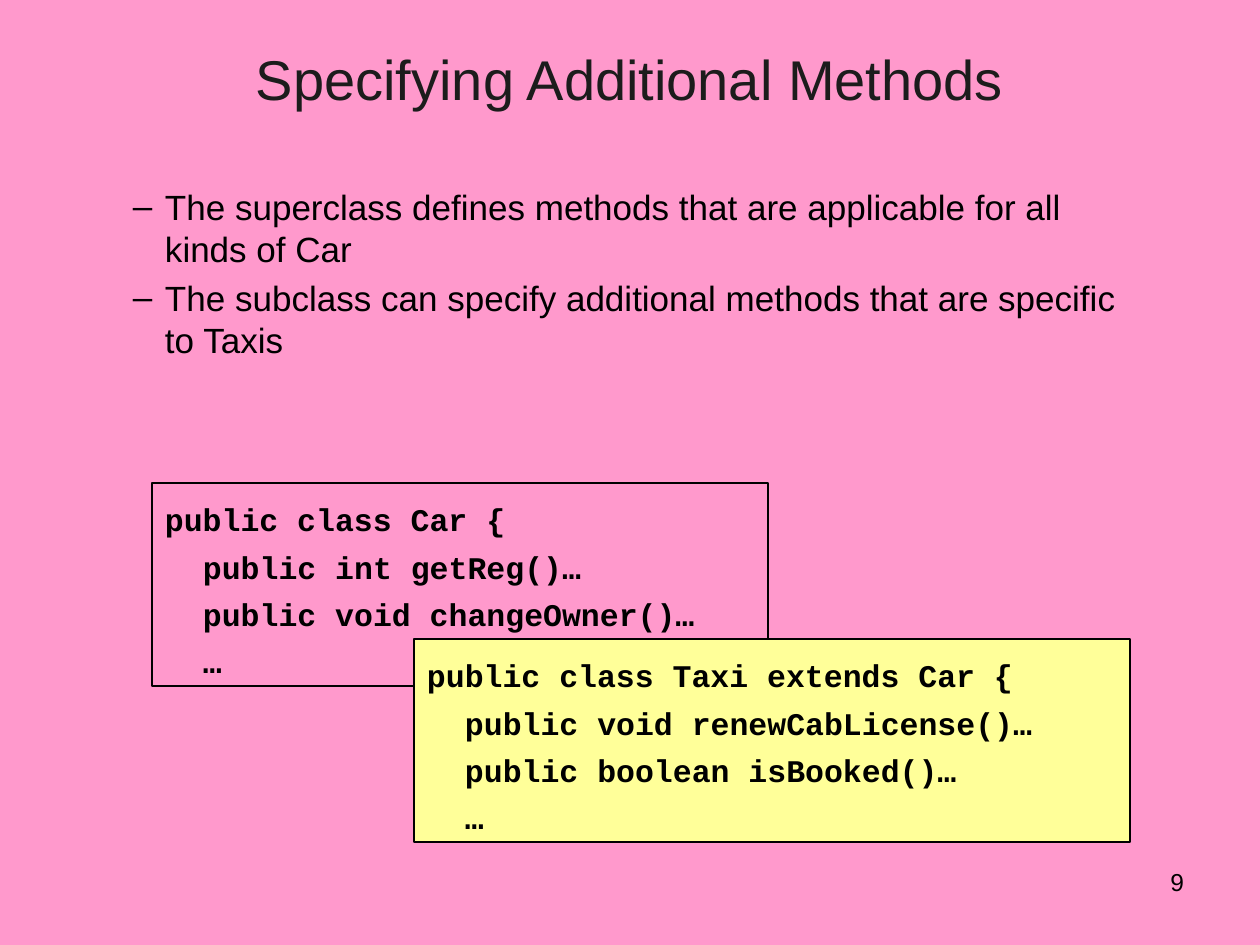
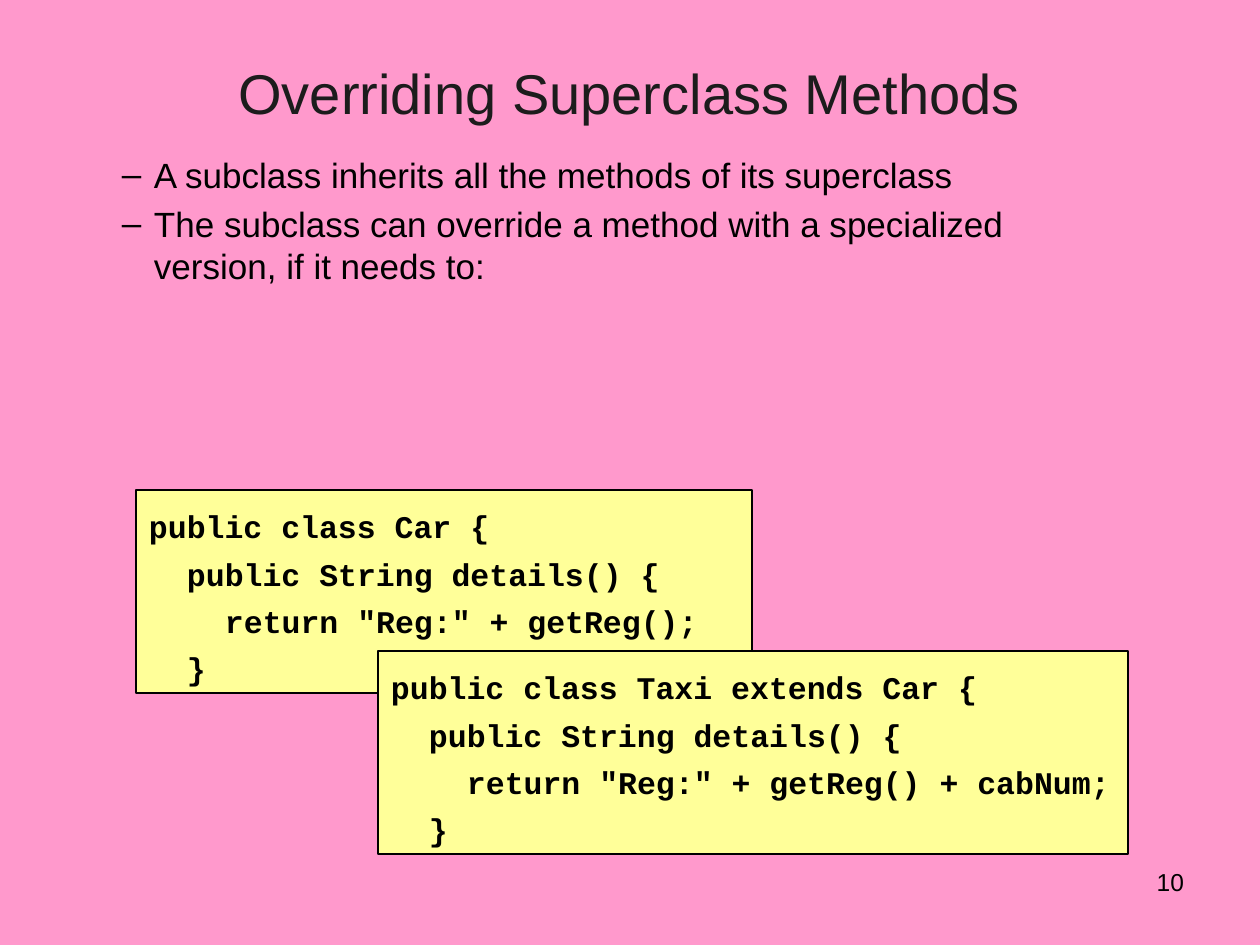
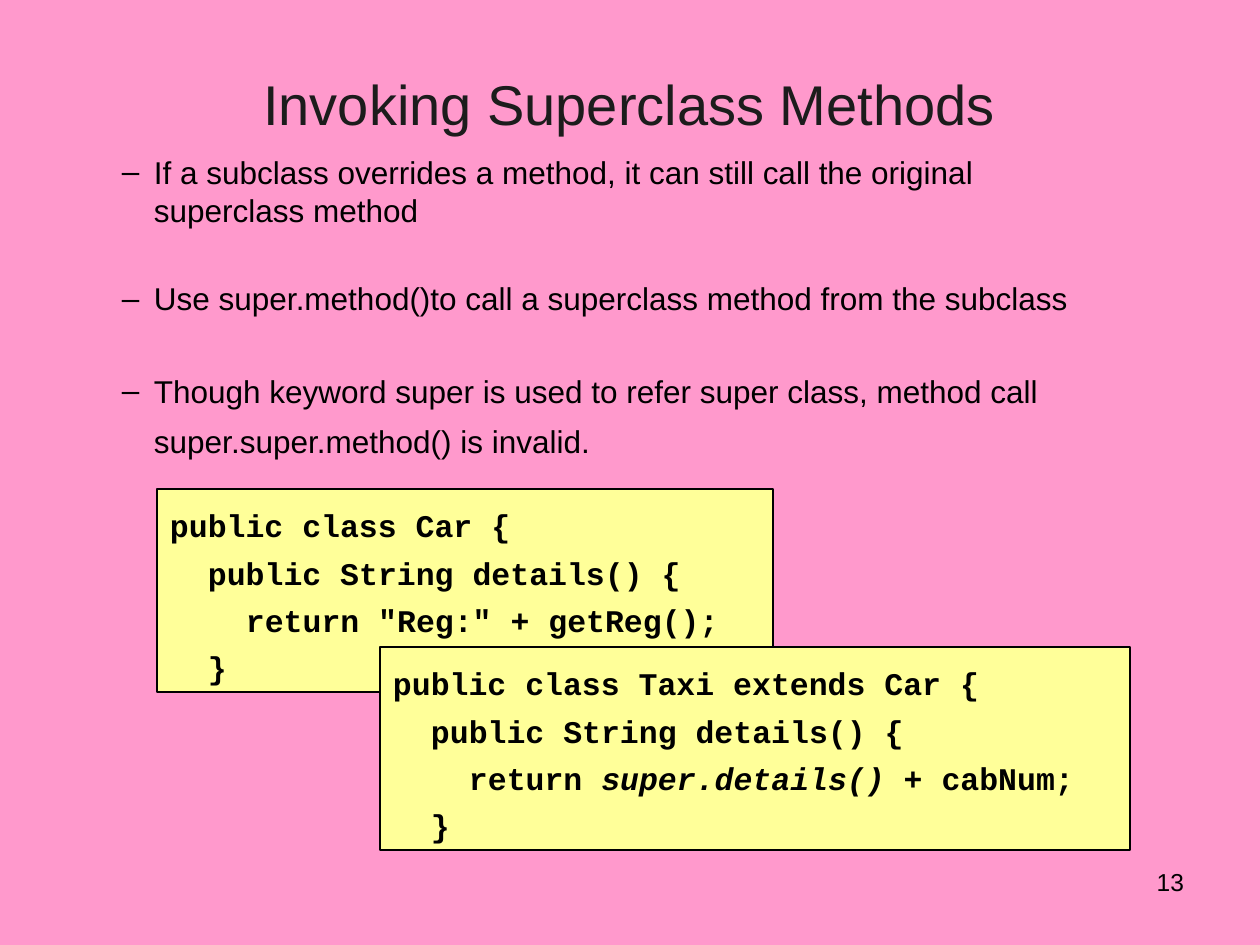
import pptx
import pptx.dml.color
import pptx.enum.shapes
import pptx.enum.text
import pptx.util

PX_PER_INCH = 126
INK, TITLE_INK, PINK, YELLOW = "000000", "1C1C1C", "FF99CC", "FFFF99"
CODE_STEP = 38
BULLET_INDENT, BULLET_HANG = 47, -32
TITLE_FONT = {"name": "Arial", "size": pptx.util.Pt(32)}
NUMBER_FONT = {"name": "Arial", "size": pptx.util.Pt(14)}
CODE_FONT = {"name": "Courier New", "size": pptx.util.Pt(18), "bold": True}
ITALIC = {"italic": True}
LEFT = pptx.enum.text.PP_ALIGN.LEFT
CENTER = pptx.enum.text.PP_ALIGN.CENTER
RIGHT = pptx.enum.text.PP_ALIGN.RIGHT


def px(length):
    return pptx.util.Emu(round(length * 914400 / PX_PER_INCH))


def color(value):
    return pptx.dml.color.RGBColor.from_string(value)


def apply(target, values):
    for name, value in values.items():
        setattr(target, name, value)


class Lecture:
    """Holds the shared style of the lecture and the slide being filled."""

    def __init__(self):
        self.deck = pptx.Presentation()
        apply(self.deck, {"slide_width": px(1260), "slide_height": px(945)})
        background = self.deck.slide_master.background.fill
        background.solid()
        background.fore_color.rgb = color(PINK)

    def place(self, shape, area):
        apply(shape, dict(zip(("left", "top", "width", "height"), map(px, area))))

    def frame(self, shape, top_inset=6):
        frame = shape.text_frame
        apply(frame, {
            "word_wrap": True,
            "auto_size": pptx.enum.text.MSO_AUTO_SIZE.NONE,
            "vertical_anchor": pptx.enum.text.MSO_ANCHOR.TOP,
            "margin_left": px(13), "margin_right": px(13),
            "margin_top": px(top_inset), "margin_bottom": px(6),
        })
        return frame

    def paragraph(self, frame, index, spans, font, ink, layout):
        para = frame.add_paragraph() if index else frame.paragraphs[0]
        apply(para, layout)
        for text, extra in spans:
            span = para.add_run()
            span.text = text
            apply(span.font, {**font, **extra})
            span.font.color.rgb = color(ink)
        return para

    def indent(self, para, margin, hang=0):
        properties = para._p.get_or_add_pPr()
        properties.set("marL", str(px(margin)))
        properties.set("indent", str(px(hang)))

    def page(self, title, area, number):
        self.slide = self.deck.slides.add_slide(self.deck.slide_layouts[1])
        box = self.slide.shapes.title
        self.place(box, area)
        self.paragraph(self.frame(box), 0, [(title, {})], TITLE_FONT, TITLE_INK,
                       {"alignment": CENTER})
        box = self.slide.shapes.add_textbox(*map(px, (903, 861, 294, 66)))
        self.paragraph(self.frame(box), 0, [(str(number), {})], NUMBER_FONT, INK,
                       {"alignment": RIGHT})

    def bullets(self, area, size, items):
        box = self.slide.placeholders[1]
        self.place(box, area)
        frame = self.frame(box)
        font = {"name": "Arial", "size": pptx.util.Pt(size)}
        for index, (spans, layout) in enumerate(items):
            para = self.paragraph(frame, index, spans, font, INK, {
                "level": 1,
                "line_spacing": pptx.util.Pt(size * 1.2),
                "space_before": pptx.util.Pt(size * 0.2 if index else 0),
                **layout,
            })
            self.indent(para, BULLET_INDENT, BULLET_HANG)

    def code(self, area, fill, lines):
        box = self.slide.shapes.add_shape(
            pptx.enum.shapes.MSO_SHAPE.RECTANGLE, *map(px, area))
        box.shadow.inherit = False
        box.fill.solid()
        box.fill.fore_color.rgb = color(fill)
        box.line.color.rgb = color(INK)
        box.line.width = pptx.util.Pt(1)
        frame = self.frame(box, 8)
        for index, (depth, *spans) in enumerate(lines):
            para = self.paragraph(frame, index, spans, CODE_FONT, INK, {
                "alignment": LEFT, "line_spacing": pptx.util.Pt(27)})
            self.indent(para, depth * CODE_STEP)


def class_lines(header, *members):
    return [(0, (header, {}))] + [(1, (member, {})) for member in members]


def details_lines(header, *result):
    return [(0, (header, {})), (1, ("public String details() {", {})),
            (2, *result), (1, ("}", {}))]


def main():
    lecture = Lecture()
    car, taxi = "public class Car {", "public class Taxi extends Car {"
    car_details = details_lines(car, ('return "Reg:" + getReg();', {}))

    lecture.page("Specifying Additional Methods", (63, 38, 1134, 88), 9)
    lecture.bullets((105, 179, 1038, 189), 20, [
        ([("The superclass defines methods that are applicable for all kinds of Car", {})], {}),
        ([("The subclass can specify additional methods that are specific to Taxis", {})], {}),
    ])
    lecture.code((152, 483, 616, 203), PINK, class_lines(
        car, "public int getReg()…", "public void changeOwner()…", "…"))
    lecture.code((414, 639, 716, 203), YELLOW, class_lines(
        taxi, "public void renewCabLicense()…", "public boolean isBooked()…", "…"))

    lecture.page("Overriding Superclass Methods", (94, 53, 1071, 158), 10)
    lecture.bullets((94, 147, 1038, 147), 20, [
        ([("A subclass inherits all the methods of its superclass", {})], {}),
        ([("The subclass can override a method with a specialized version, "
           "if it needs to:", {})], {}),
    ])
    lecture.code((136, 490, 616, 203), YELLOW, car_details)
    lecture.code((378, 651, 750, 203), YELLOW, details_lines(
        taxi, ('return "Reg:" + getReg() + cabNum;', {})))

    lecture.page("Invoking Superclass Methods", (94, 63, 1071, 158), 13)
    lecture.bullets((94, 147, 1038, 442), 18, [
        ([("If a subclass overrides a method, it can still call the original "
           "superclass method", {})], {}),
        ([("Use super.method()to call a superclass method from the subclass", {})],
         {"space_before": pptx.util.Pt(29)}),
        ([("Though keyword super is used to refer super class, method call "
           "super.super.method() is invalid.", {}),
          (" ", {"size": pptx.util.Pt(24)})],
         {"space_before": pptx.util.Pt(30), "line_spacing": 1.05}),
    ])
    lecture.code((157, 489, 616, 203), YELLOW, car_details)
    lecture.code((380, 647, 750, 203), YELLOW, details_lines(
        taxi, ("return ", {}), ("super.details() ", ITALIC), ("+ cabNum;", {})))

    lecture.deck.save("out.pptx")


if __name__ == "__main__":
    main()
